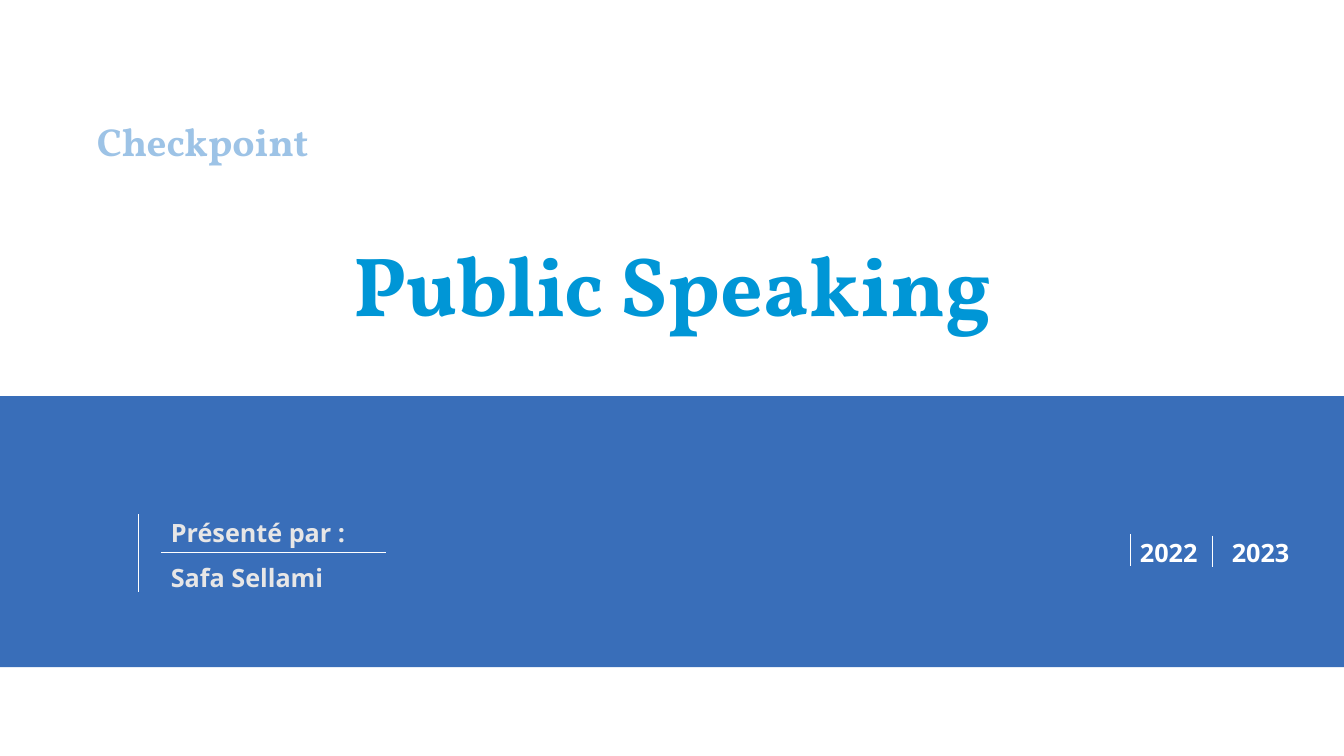
from dataclasses import dataclass

from lxml.etree import SubElement
from pptx import Presentation
from pptx.dml.color import RGBColor
from pptx.enum.shapes import MSO_CONNECTOR, MSO_SHAPE
from pptx.enum.text import MSO_ANCHOR, MSO_AUTO_SIZE, PP_ALIGN
from pptx.oxml.ns import qn
from pptx.util import Pt


@dataclass(frozen=True)
class Theme:
    heading_font: str = "Vollkorn"
    label_font: str = "Open Sans"
    title_color: str = "0096D6"
    kicker_color: str = "9DC3E6"
    band_color: str = "0C4DA9"
    presenter_color: str = "E7E6E6"
    white: str = "FFFFFF"
    title_size: float = 60
    kicker_size: float = 27.9
    label_size: float = 18


THEME = Theme()


def place(holder, left, top, width, height):
    holder.left, holder.top = Pt(left), Pt(top)
    holder.width, holder.height = Pt(width), Pt(height)


def write(holder, text, *, size, color, font, align=PP_ALIGN.LEFT,
          anchor=MSO_ANCHOR.TOP, spacing=1.0, wrap=True):
    frame = holder.text_frame
    frame.auto_size = MSO_AUTO_SIZE.NONE
    frame.word_wrap = wrap
    frame.vertical_anchor = anchor
    paragraph = frame.paragraphs[0]
    paragraph.alignment = align
    paragraph.line_spacing = spacing
    paragraph.space_before = Pt(0)
    run = paragraph.add_run()
    run.text = text
    run.font.name = font
    run.font.size = Pt(size)
    run.font.bold = True
    run.font.color.rgb = RGBColor.from_string(color)


def add_label(slide, text, left, top, width, height, color, wrap=True):
    label = slide.shapes.add_textbox(Pt(left), Pt(top), Pt(width), Pt(height))
    write(label, text, size=THEME.label_size, color=color,
          font=THEME.label_font, wrap=wrap)


def add_rule(slide, x1, y1, x2, y2, weight=0.5):
    rule = slide.shapes.add_connector(
        MSO_CONNECTOR.STRAIGHT, Pt(x1), Pt(y1), Pt(x2), Pt(y2))
    rule.line.color.rgb = RGBColor.from_string(THEME.white)
    rule.line.width = Pt(weight)
    SubElement(rule._element.spPr, qn("a:effectLst"))


def add_headings(slide, left, top, width, height):
    title, kicker = slide.shapes.title, slide.placeholders[1]
    place(title, left + 58.2, top + 30.2, 720, height - 30.2)
    write(title, "Public Speaking", size=THEME.title_size,
          color=THEME.title_color, font=THEME.heading_font,
          align=PP_ALIGN.CENTER, anchor=MSO_ANCHOR.BOTTOM, spacing=0.9)
    place(kicker, left, top + 26, width, 44)
    write(kicker, "Checkpoint", size=THEME.kicker_size,
          color=THEME.kicker_color, font=THEME.heading_font, spacing=0.9)


def add_band(slide, left, top, width, height):
    band = slide.shapes.add_shape(
        MSO_SHAPE.RECTANGLE, Pt(left), Pt(top), Pt(width), Pt(height))
    band.shadow.inherit = False
    band.line.fill.background()
    band.fill.solid()
    band.fill.fore_color.rgb = RGBColor.from_string(THEME.band_color)
    tint = band._element.spPr.find(qn("a:solidFill"))[0]
    SubElement(tint, qn("a:alpha"), val="81000")


def add_presenter(slide, left, top, width, height):
    text_left = left + 16
    add_rule(slide, left, top, left, top + height)
    add_label(slide, "Présenté par :", text_left, top - 1.4, 147, 29,
              THEME.presenter_color, wrap=False)
    add_rule(slide, text_left, top + height / 2, left + width,
             top + height / 2, weight=0.75)
    add_label(slide, "Safa Sellami", text_left, top + 31, 127, 29,
              THEME.presenter_color)


def add_years(slide, left, top, width, height):
    year_width = 59
    first_rule, second_rule = left, left + year_width
    add_rule(slide, first_rule, top + 1.4, first_rule, top + 24)
    add_rule(slide, second_rule, top + 2.5, second_rule, top + 25)
    for year, year_left in (("2022", left), ("2023", left + width - year_width)):
        add_label(slide, year, year_left, top, year_width, height, THEME.white)


def add_cover(deck):
    slide = deck.slides.add_slide(deck.slide_layouts[0])
    add_headings(slide, 62, 58.4, 834.4, 184.2)
    add_band(slide, 0, 283, 960, 193.6)
    add_presenter(slide, 99, 367.2, 176.6, 55.6)
    add_years(slide, 807.2, 380.2, 124.6, 51)


def main():
    deck = Presentation()
    deck.slide_width, deck.slide_height = Pt(960), Pt(540)
    add_cover(deck)
    deck.save("out.pptx")


if __name__ == "__main__":
    main()
